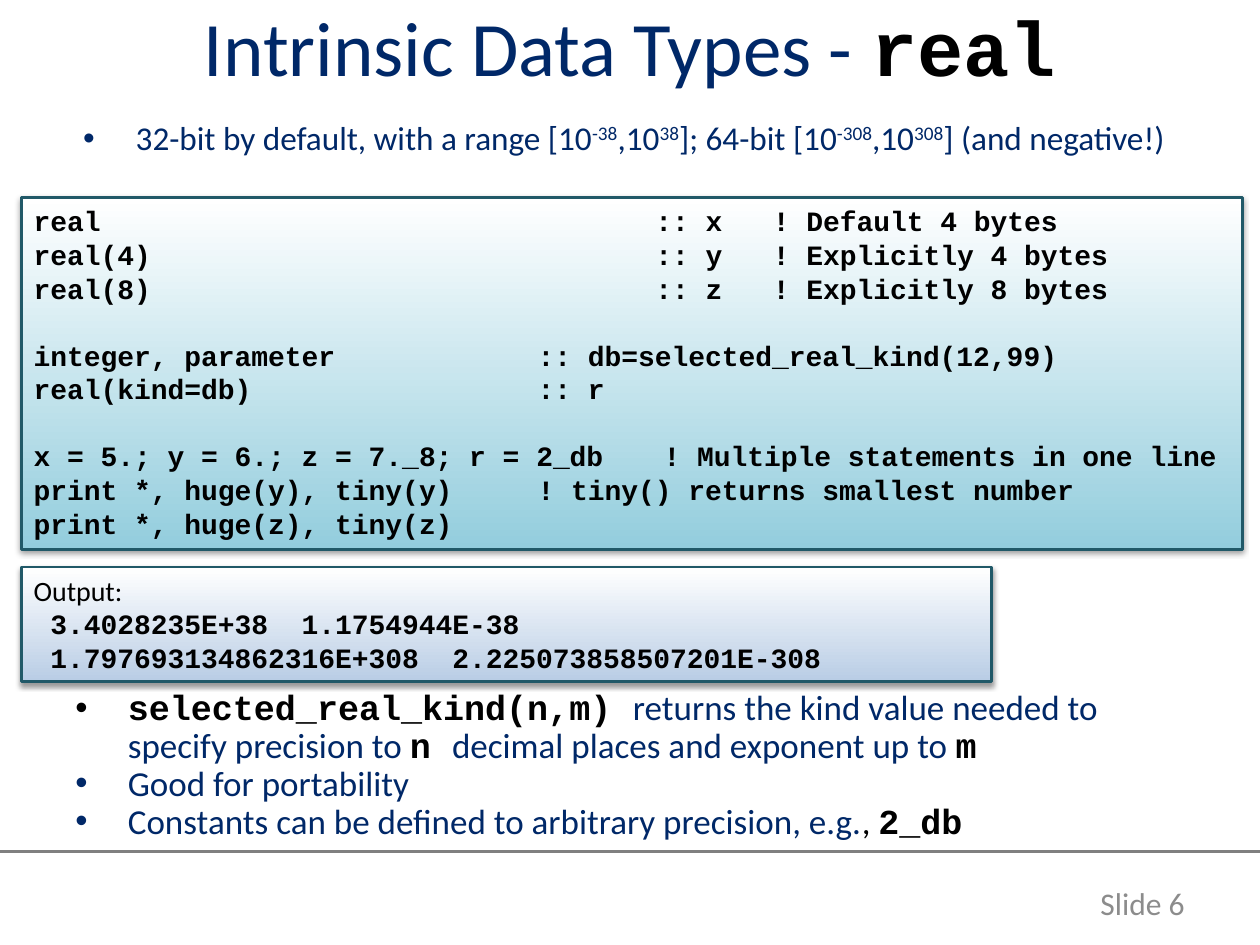
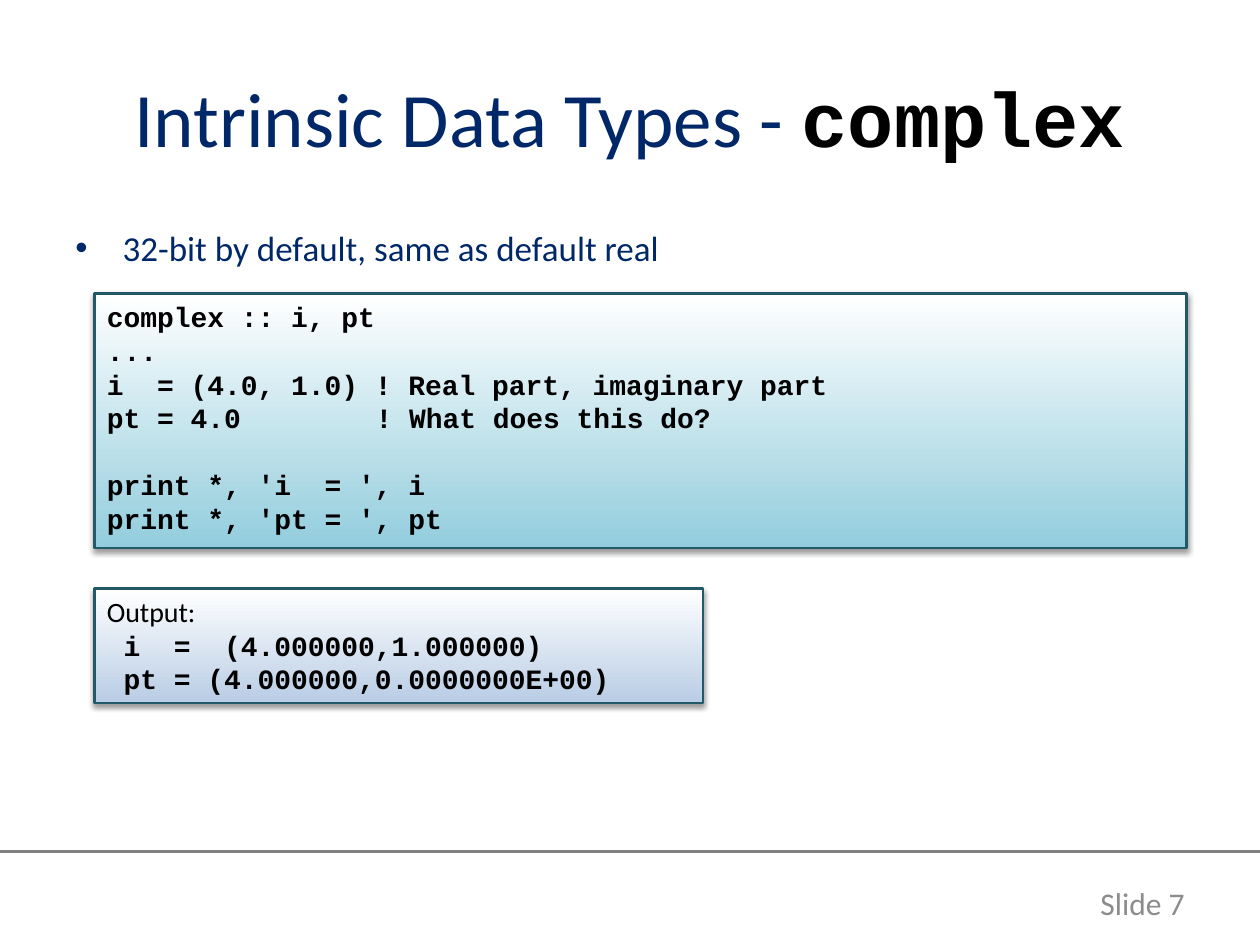
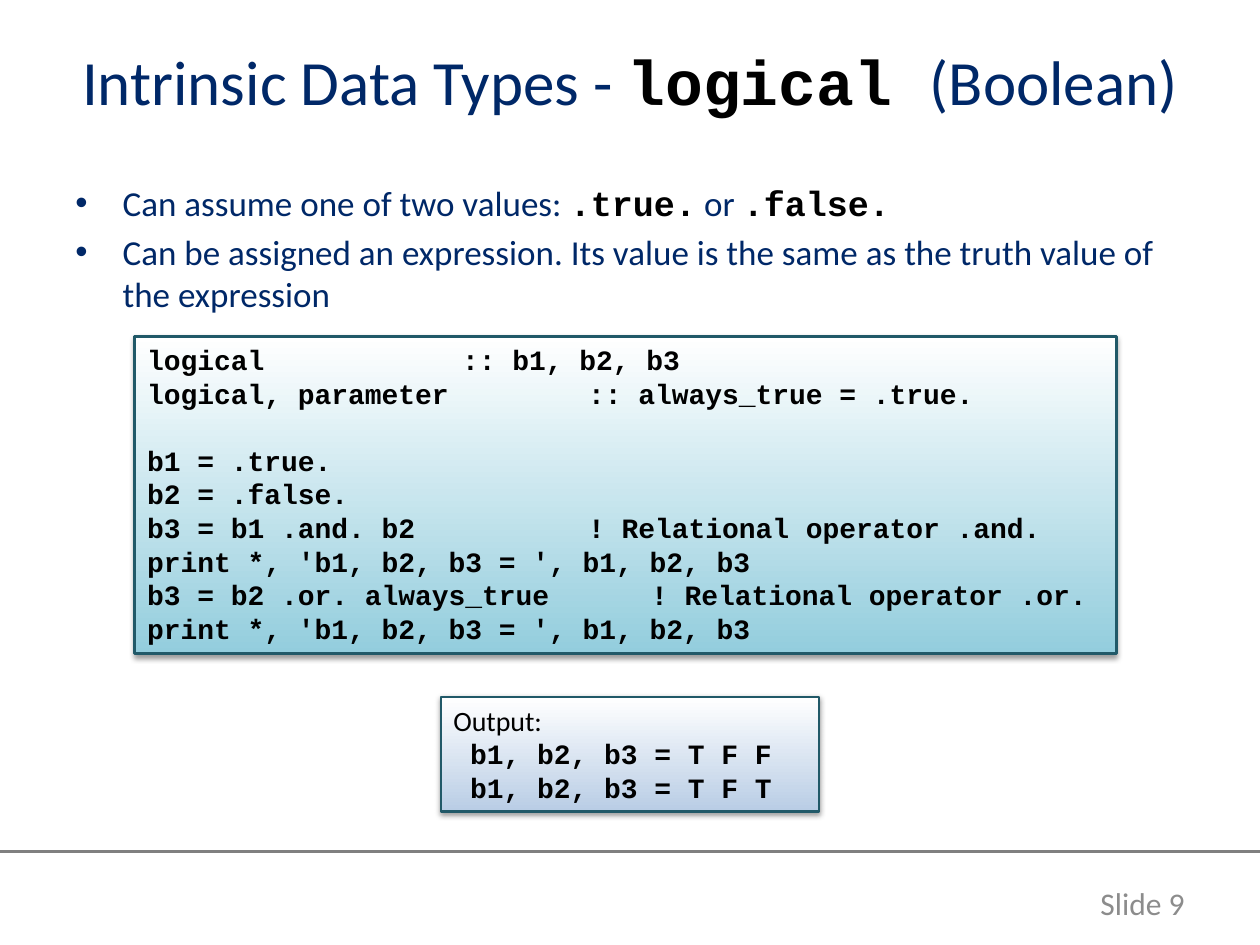
from pptx import Presentation
from pptx.dml.color import RGBColor
from pptx.enum.shapes import MSO_CONNECTOR, MSO_SHAPE
from pptx.enum.text import MSO_ANCHOR, PP_ALIGN
from pptx.oxml.ns import qn
from pptx.util import Pt
from lxml import etree

LINE = MSO_CONNECTOR.STRAIGHT
RECT = MSO_SHAPE.RECTANGLE
TOP, MID = MSO_ANCHOR.TOP, MSO_ANCHOR.MIDDLE
LEFT, MID_X, RIGHT = PP_ALIGN.LEFT, PP_ALIGN.CENTER, PP_ALIGN.RIGHT

HEX = {
    "navy": "002868",
    "black": "000000",
    "white": "FFFFFF",
    "rule": "808080",
    "gray": "8C8C8C",
    "edge": "215968",
    "teal": "93CDDD",
    "blue": "B9CDE5",
}
SANS, MONO = "Calibri", "Courier New"
STYLES = {
    "body": (SANS, "navy", False),
    "sup": (SANS, "navy", False),
    "plain": (SANS, "black", False),
    "foot": (SANS, "gray", False),
    "code": (MONO, "black", True),
}
PITCH = 19.2
CHAR = 9.6
CODE_SIZE = 16


def color(name):
    return RGBColor.from_string(HEX[name])


def node(parent, tag, **attrs):
    child = etree.SubElement(parent, qn(tag))
    for key, value in attrs.items():
        child.set(key, str(value))
    return child


def add_run(para, text, style, size):
    run = para.add_run()
    run.text = text
    font = run.font
    font.name, shade, font.bold = STYLES[style]
    font.size = Pt(size)
    font.color.rgb = color(shade)
    if style == "sup":
        run._r.get_or_add_rPr().set("baseline", "30000")


def add_runs(para, runs, size):
    for text, style in runs:
        add_run(para, text, style, size)


def paras(frame):
    yield frame.paragraphs[0]
    while True:
        yield frame.add_paragraph()


def add_box(slide, box, anchor=TOP):
    frame = slide.shapes.add_textbox(*map(Pt, box)).text_frame
    frame.word_wrap = True
    frame.vertical_anchor = anchor
    return frame


def add_label(slide, box, runs, size, align):
    para = add_box(slide, box, MID).paragraphs[0]
    para.alignment = align
    add_runs(para, runs, size)


def add_list(slide, box, items, size=20, left=27, hang=27, before=0.2, space=1.0):
    frame = add_box(slide, box)
    for runs, para in zip(items, paras(frame)):
        para.line_spacing = space
        para.space_before = Pt(before * size)
        props = para._p.get_or_add_pPr()
        props.set("marL", str(Pt(left)))
        props.set("indent", str(Pt(-hang)))
        node(props, "a:buFont", typeface="Arial")
        node(props, "a:buChar", char="•")
        add_runs(para, runs, size)


def add_panel(slide, box, shade):
    panel = slide.shapes.add_shape(RECT, *map(Pt, box))
    panel.fill.gradient()
    panel.fill.gradient_angle = 90
    for stop, name in zip(panel.fill.gradient_stops, (shade, "white")):
        stop.color.rgb = color(name)
    panel.line.color.rgb = color("edge")
    panel.line.width = Pt(1.5)
    panel.shadow.inherit = False
    effects = panel._element.spPr.find(qn("a:effectLst"))
    shadow = node(effects, "a:outerShdw", blurRad=Pt(3.1), dist=Pt(1.6),
                  dir=5400000, rotWithShape=0)
    tint = node(shadow, "a:srgbClr", val=HEX["black"])
    node(tint, "a:alpha", val=38000)
    frame = panel.text_frame
    frame.word_wrap = True
    frame.vertical_anchor = TOP
    return frame


def add_line(para, text, style="code", gap=0, stops=()):
    para.alignment = LEFT
    para.line_spacing = Pt(PITCH)
    para.space_before = Pt(gap)
    if stops:
        tabs = node(para._p.get_or_add_pPr(), "a:tabLst")
        for stop in stops:
            node(tabs, "a:tab", pos=Pt(stop), algn="l")
    add_run(para, text, style, CODE_SIZE)


def add_code(slide, box, blocks):
    lines = paras(add_panel(slide, box, "teal"))
    for b, block in enumerate(blocks):
        for i, (text, *stops) in enumerate(block):
            gap = PITCH if b and not i else 0
            add_line(next(lines), text, gap=gap, stops=stops)


def add_output(slide, left, top, width, rows):
    lines = paras(add_panel(slide, (left, top, width, 65.5), "blue"))
    add_line(next(lines), "Output:", "plain")
    for row in rows:
        add_line(next(lines), row)


def add_slide(deck, number, top, name, tail="", size=44):
    slide = deck.slides.add_slide(deck.slide_layouts[6])
    rule = slide.shapes.add_connector(LINE, 0, Pt(486.7), Pt(720), Pt(486.7))
    rule.line.color.rgb = color("rule")
    rule.line.width = Pt(2)
    node(rule._element.spPr, "a:effectLst")
    add_label(slide, (605.5, 501.8, 78.5, 28.8),
              [(f"Slide {number}", "foot")], 18, RIGHT)
    title = [("Intrinsic Data Types - ", "body"), (name, "code")]
    if tail:
        title.append((tail, "body"))
    add_label(slide, (36, top, 648, 90), title, size, MID_X)
    return slide


def real_slide(deck):
    slide = add_slide(deck, 6, -18.7, "real")
    span = [
        ("32-bit by default, with a range [10", "body"), ("-38", "sup"),
        (",10", "body"), ("38", "sup"),
        ("]; 64-bit [10", "body"), ("-308", "sup"),
        (",10", "body"), ("308", "sup"),
        ("] (and negative!)", "body"),
    ]
    add_list(slide, (36, 66.2, 648, 54.7), [span],
             size=19, left=34.5, hang=30, space=0.9)
    cols = (37 * CHAR, 44 * CHAR)
    add_code(slide, (12.2, 113, 697.7, 200.9), [
        [("real\t:: x\t! Default 4 bytes", *cols),
         ("real(4)\t:: y\t! Explicitly 4 bytes", *cols),
         ("real(8)\t:: z\t! Explicitly 8 bytes", *cols)],
        [("integer, parameter\t:: db=selected_real_kind(12,99)", 288),
         ("real(kind=db)\t:: r", 288)],
        [("x = 5.; y = 6.; z = 7._8; r = 2_db\t! Multiple statements in one line", 360),
         ("print *, huge(y), tiny(y)\t! tiny() returns smallest number", 288),
         ("print *, huge(z), tiny(z)",)],
    ])
    add_list(slide, (36, 391, 648, 95), [
        [("selected_real_kind(n,m) ", "code"),
         ("returns the kind value needed to specify precision to ", "body"),
         ("n ", "code"),
         ("decimal places and exponent up to ", "body"),
         ("m", "code")],
        [("Good for portability", "body")],
        [("Constants can be defined to arbitrary precision, e.g.", "body"),
         (", ", "plain"), ("2_db", "code")],
    ], left=30, hang=30, before=0, space=0.9)
    add_output(slide, 12.2, 324, 554.4, [
        " 3.4028235E+38  1.1754944E-38",
        " 1.797693134862316E+308  2.225073858507201E-308",
    ])


def complex_slide(deck):
    slide = add_slide(deck, 7, 21.6, "complex")
    add_list(slide, (36, 126, 648, 354.2),
             [[("32-bit by default, same as default real", "body")]])
    add_code(slide, (54, 167.8, 624.2, 145.4), [
        [("complex :: i, pt",),
         ("...",),
         ("i  = (4.0, 1.0) ! Real part, imaginary part",),
         ("pt = 4.0\t! What does this do?", 16 * CHAR)],
        [("print *, 'i  = ', i",),
         ("print *, 'pt = ', pt",)],
    ])
    add_output(slide, 54, 336.2, 347.8, [
        " i  =  (4.000000,1.000000)",
        " pt = (4.000000,0.0000000E+00)",
    ])


def logical_slide(deck):
    slide = add_slide(deck, 9, 0.7, "logical ", "(Boolean)", 36)
    add_list(slide, (36, 100.1, 648, 354.2), [
        [("Can assume one of two values: ", "body"), (".true.", "code"),
         (" or ", "body"), (".false.", "code")],
        [("Can be assigned an expression. Its value is the same as "
          "the truth value of the expression", "body")],
    ])
    show = ("print *, 'b1, b2, b3 = ', b1, b2, b3",)
    add_code(slide, (77, 192.2, 560.9, 181.4), [
        [("logical\t:: b1, b2, b3", 180),
         ("logical, parameter\t:: always_true = .true.", 252)],
        [("b1 = .true.",),
         ("b2 = .false.",),
         ("b3 = b1 .and. b2\t! Relational operator .and.", 252),
         show,
         ("b3 = b2 .or. always_true\t! Relational operator .or.", 288),
         show],
    ])
    add_output(slide, 252, 398.2, 216,
               [f" b1, b2, b3 = {row}" for row in ("T F F", "T F T")])


def main():
    deck = Presentation()
    deck.slide_width, deck.slide_height = Pt(720), Pt(540)
    real_slide(deck)
    complex_slide(deck)
    logical_slide(deck)
    deck.save("out.pptx")


if __name__ == "__main__":
    main()
